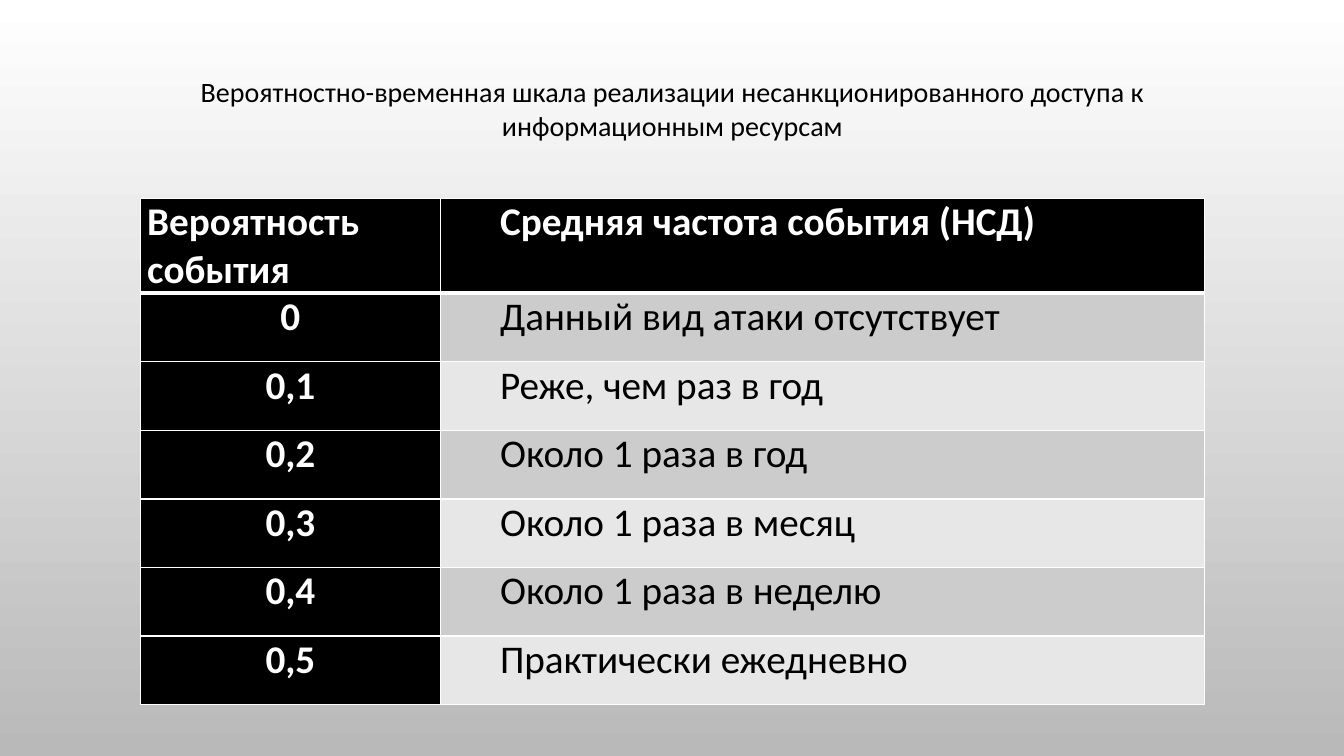
from lxml.etree import SubElement
from pptx import Presentation
from pptx.dml.color import RGBColor
from pptx.enum.text import MSO_ANCHOR, MSO_AUTO_SIZE, PP_ALIGN
from pptx.oxml.ns import qn
from pptx.util import Inches, Pt

TITLE = ("Вероятностно-временная шкала реализации несанкционированного "
         "доступа к информационным ресурсам")
SCALE = [
    ("Вероятность события", "Средняя частота события (НСД)"),
    ("0", "Данный вид атаки отсутствует"),
    ("0,1", "Реже, чем раз в год"),
    ("0,2", "Около 1 раза в год"),
    ("0,3", "Около 1 раза в месяц"),
    ("0,4", "Около 1 раза в неделю"),
    ("0,5", "Практически ежедневно"),
]
COLORS = {"black": "000000", "white": "FFFFFF", "page_end": "B9B9B9",
          "odd": "CCCCCC", "even": "E7E7E7"}
FONT = "Calibri"
COLUMN_WIDTHS = (2.98, 7.58)
HEADER_HEIGHT, ROW_HEIGHT = 0.94, 0.68
FREQUENCY_INDENT = 0.52


def rgb(name):
    return RGBColor.from_string(COLORS[name])


def format_text(paragraph, size, color, bold, align):
    paragraph.alignment = align
    for run in paragraph.runs:
        run.font.name = FONT
        run.font.size = Pt(size)
        run.font.bold = bold
        run.font.color.rgb = rgb(color)


def add_borders(cell, widths):
    """Draw white borders; widths maps the sides L, R, T, B to points."""
    properties = cell._tc.get_or_add_tcPr()
    for side, width in widths.items():
        line = SubElement(properties, qn(f"a:ln{side}"), w=str(Pt(width)))
        fill = SubElement(line, qn("a:solidFill"))
        SubElement(fill, qn("a:srgbClr"), val=COLORS["white"])


def paint_background(slide):
    fill = slide.background.fill
    fill.gradient()
    fill.gradient_angle = 270
    for stop, color, position in zip(fill.gradient_stops, ("white", "page_end"), (0, 1)):
        stop.color.rgb = rgb(color)
        stop.position = position


def add_title(slide):
    title = slide.shapes.title
    title.left, title.top = Inches(1.34), Inches(0.69)
    title.width, title.height = Inches(10.66), Inches(0.77)
    frame = title.text_frame
    frame.text = TITLE
    frame.word_wrap = True
    frame.auto_size = MSO_AUTO_SIZE.SHAPE_TO_FIT_TEXT
    frame.vertical_anchor = MSO_ANCHOR.TOP
    format_text(frame.paragraphs[0], 20, "black", False, PP_ALIGN.CENTER)


def fill_cell(cell, text, row, column):
    is_header, is_frequency = row == 0, column == 1
    is_dark = is_header or not is_frequency
    cell.margin_left = cell.margin_right = Inches(0.07)
    cell.margin_top = cell.margin_bottom = 0
    cell.text_frame.text = text
    paragraph = cell.text_frame.paragraphs[0]
    align = PP_ALIGN.JUSTIFY if is_header or is_frequency else PP_ALIGN.CENTER
    format_text(paragraph, 28, "white" if is_dark else "black", is_dark, align)
    if is_frequency:
        indent = paragraph._p.get_or_add_pPr()
        indent.set("marL", "0")
        indent.set("indent", str(Inches(FREQUENCY_INDENT)))
    add_borders(cell, {"L": 1, "R": 1, "T": 3 if row == 1 else 1,
                       "B": 3 if is_header else 1})
    cell.fill.solid()
    band = "odd" if row % 2 else "even"
    cell.fill.fore_color.rgb = rgb("black" if is_dark else band)


def add_scale(slide):
    row_heights = [HEADER_HEIGHT] + [ROW_HEIGHT] * (len(SCALE) - 1)
    table = slide.shapes.add_table(
        len(SCALE), len(COLUMN_WIDTHS), Inches(1.39), Inches(1.97),
        Inches(sum(COLUMN_WIDTHS)), Inches(sum(row_heights))).table
    for column, width in zip(table.columns, COLUMN_WIDTHS):
        column.width = Inches(width)
    for row, height in zip(table.rows, row_heights):
        row.height = Inches(height)
    for row, texts in enumerate(SCALE):
        for column, text in enumerate(texts):
            fill_cell(table.cell(row, column), text, row, column)


def main():
    deck = Presentation()
    deck.slide_width, deck.slide_height = Inches(13.33), Inches(7.5)
    slide = deck.slides.add_slide(deck.slide_layouts[5])
    paint_background(slide)
    add_title(slide)
    add_scale(slide)
    deck.save("out.pptx")


if __name__ == "__main__":
    main()
